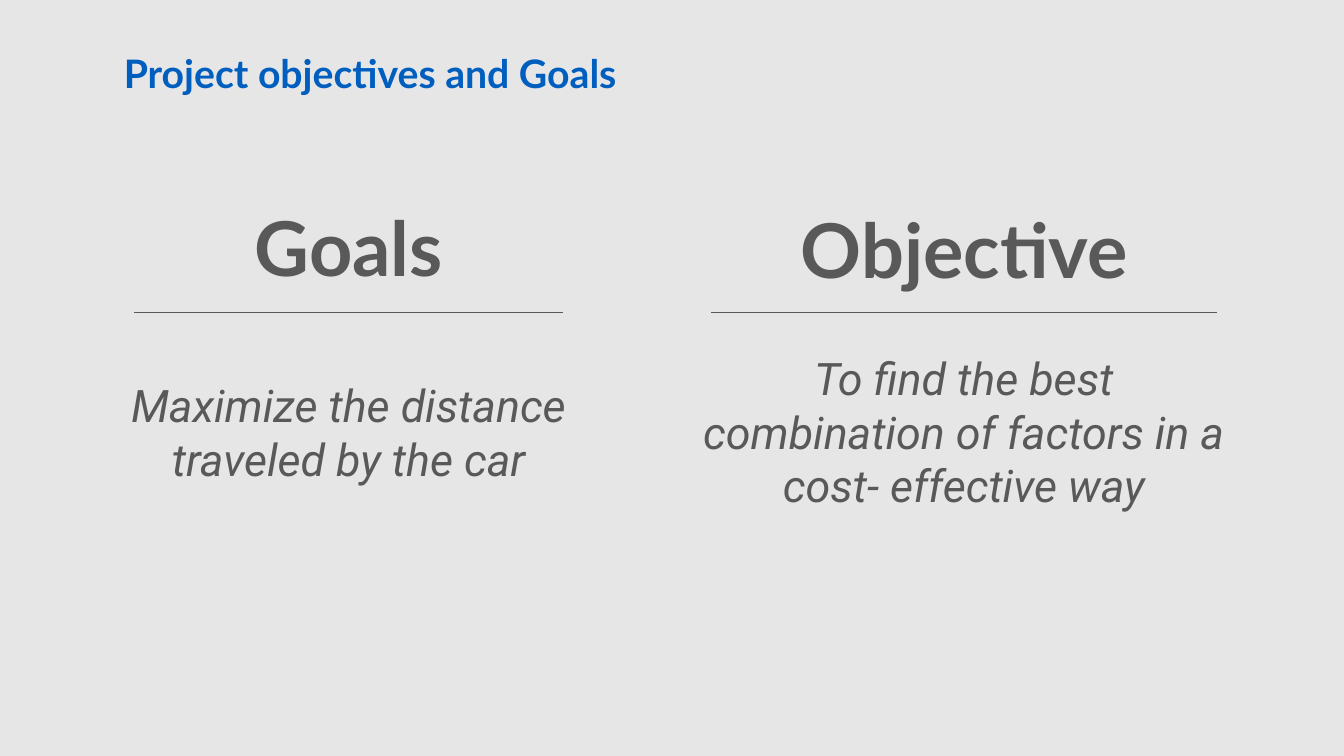
from lxml import etree
from pptx import Presentation
from pptx.dml.color import RGBColor
from pptx.enum.shapes import MSO_CONNECTOR
from pptx.enum.text import MSO_AUTO_SIZE, PP_ALIGN
from pptx.oxml.ns import qn
from pptx.util import Cm, Pt

BACKGROUND = RGBColor(0xE7, 0xE6, 0xE6)
BLUE = RGBColor(0x00, 0x5E, 0xBF)
GRAY = RGBColor(0x59, 0x59, 0x59)
LEFT, CENTER = PP_ALIGN.LEFT, PP_ALIGN.CENTER
STRAIGHT = MSO_CONNECTOR.STRAIGHT
GROW = MSO_AUTO_SIZE.SHAPE_TO_FIT_TEXT
RULE_TOP = Cm(7.87)

presentation = Presentation()
presentation.slide_width = Cm(33.87)
presentation.slide_height = Cm(19.05)
slide = presentation.slides.add_slide(presentation.slide_layouts[6])
slide.background.fill.solid()
slide.background.fill.fore_color.rgb = BACKGROUND


def add_text(text, box, font_name, size, color, alignment=CENTER, bold=False, italic=False):
    """Add a wrapping text box; box is left, top, width, height in centimetres."""
    text_frame = slide.shapes.add_textbox(*map(Cm, box)).text_frame
    text_frame.word_wrap = True
    text_frame.auto_size = GROW
    text_frame.text = text
    for paragraph in text_frame.paragraphs:
        paragraph.alignment = alignment
        for run in paragraph.runs:
            run.font.name = font_name
            run.font.size = Pt(size)
            run.font.color.rgb = color
            run.font.bold = bold
            run.font.italic = italic


add_text("Project objectives and Goals", (2.87, 1.12, 20.29, 1.45),
         "Lato", 28, BLUE, alignment=LEFT, bold=True)

# Heading and its box, body and its box, start and end of the rule
columns = [
    ("Goals", (5.08, 4.93, 7.42, 2.57),
     "Maximize the distance traveled by the car", (2.21, 9.4, 13.16, 3),
     3.38, 14.2),
    ("Objective", (18.21, 5, 12.19, 2.57),
     "To find the best\ncombination of factors in a cost- effective way",
     (17.12, 8.71, 14.35, 4.37),
     17.93, 30.68),
]
for heading, heading_box, body, body_box, rule_start, rule_end in columns:
    add_text(heading, heading_box, "Lato", 54, GRAY, bold=True)
    add_text(body, body_box, "Roboto", 32, GRAY, italic=True)
    rule = slide.shapes.add_connector(
        STRAIGHT, Cm(rule_start), RULE_TOP, Cm(rule_end), RULE_TOP)
    rule.line.color.rgb = GRAY
    rule.line.width = Pt(1)
    etree.SubElement(rule._element.spPr, qn("a:effectLst"))

presentation.save("out.pptx")
